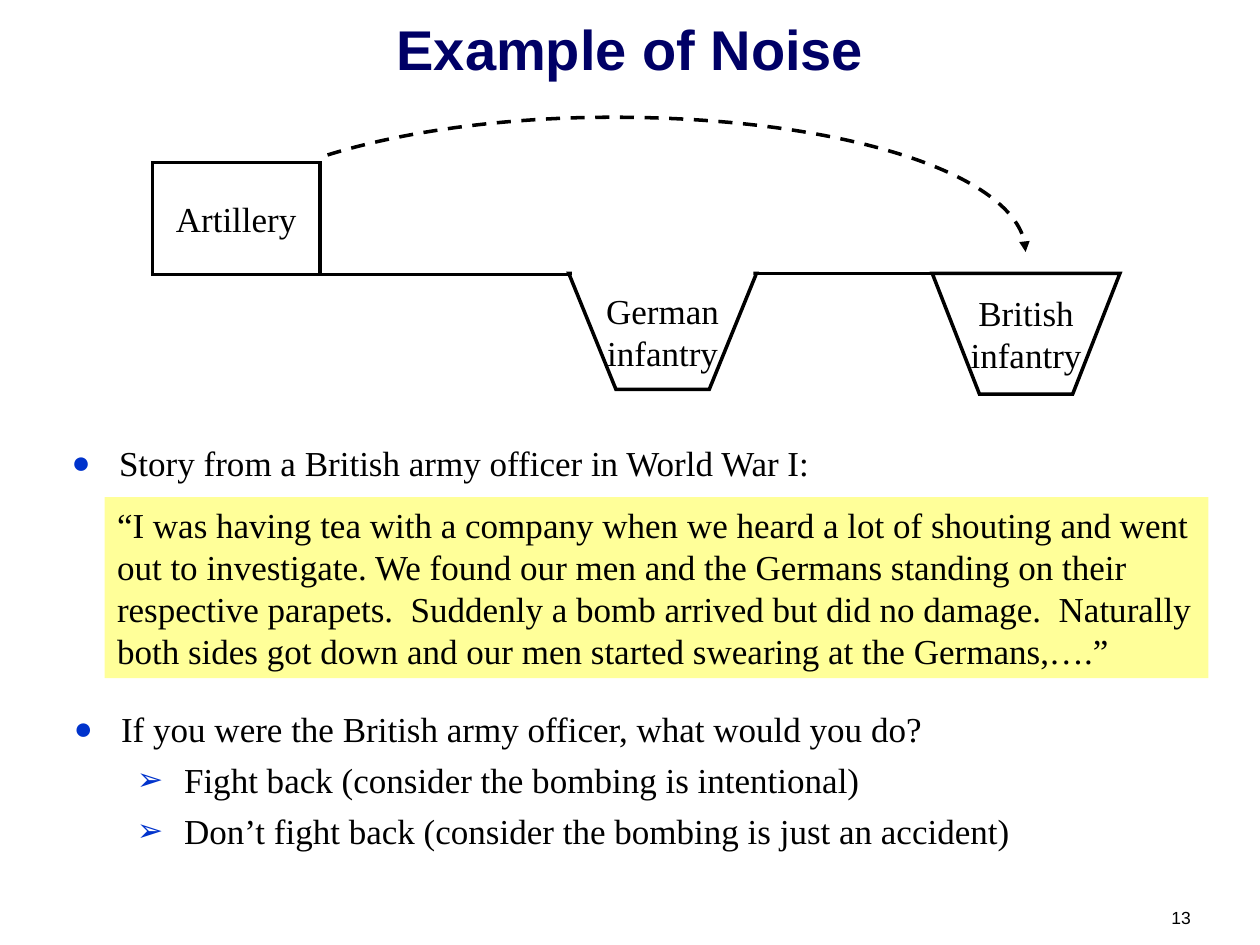
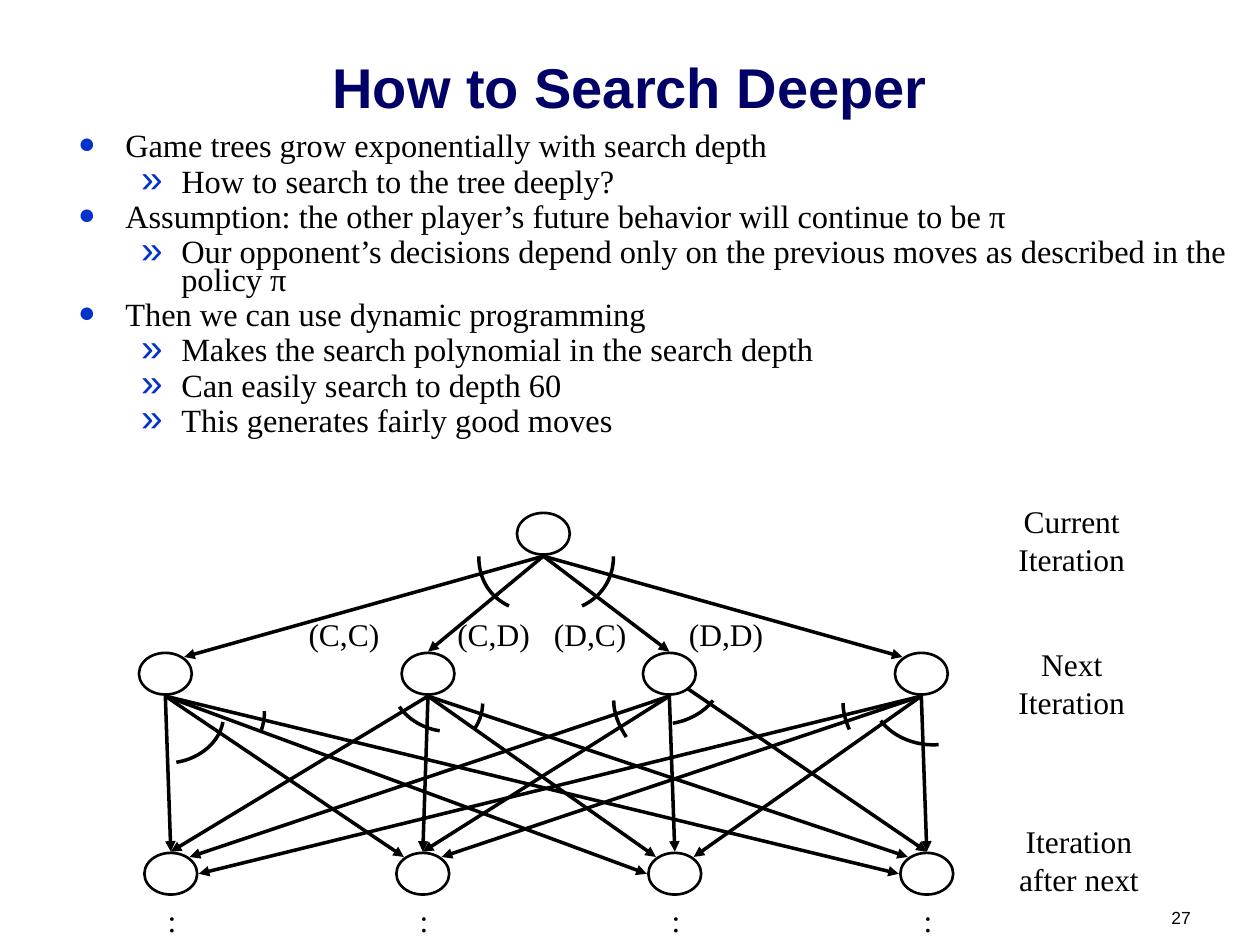
"""Build two lecture slides about noise and deeper search in repeated games."""
import math
from typing import NamedTuple

import lxml.etree
import pptx
import pptx.dml.color
import pptx.enum.dml
import pptx.enum.shapes
import pptx.enum.text
import pptx.oxml.ns
import pptx.util

Pt = pptx.util.Pt
qn = pptx.oxml.ns.qn
add_tag = lxml.etree.SubElement
ALIGN = pptx.enum.text.PP_ALIGN
ANCHOR = pptx.enum.text.MSO_ANCHOR
SHAPE = pptx.enum.shapes.MSO_SHAPE
STRAIGHT = pptx.enum.shapes.MSO_CONNECTOR.STRAIGHT

BLACK, WHITE, NAVY, BLUE, YELLOW = "000000", "FFFFFF", "000066", "0033CC", "FFFF99"
SERIF, SANS = "Times New Roman", "Arial"
PARAGRAPH_GAP = 0.25
Point = tuple[float, float]


class Area(NamedTuple):
    left: float
    top: float
    width: float
    height: float


class TextStyle(NamedTuple):
    size: float = 20
    font: str = SERIF
    color: str = BLACK
    bold: bool = False
    align: ALIGN = ALIGN.LEFT
    spacing: float = 1.0


class Bullet(NamedTuple):
    symbol: str
    level: int
    margin: float
    hanging: float
    percent: int


class Label(NamedTuple):
    lines: list[str]
    area: Area
    wrap: bool = False


class Arc(NamedTuple):
    frame: Area
    controls: list[Point]
    rotation: float = 0


DOT = Bullet("●", 0, 27, 27, 90)
ARROWHEAD = Bullet("➢", 1, 63, 27, 90)
CHEVRON = Bullet("»", 1, 59, 23, 120)

TITLE_STYLE = TextStyle(32, SANS, NAVY, True, ALIGN.CENTER)
NUMBER_STYLE = TextStyle(10, SANS, align=ALIGN.RIGHT)
FIGURE_STYLE = TextStyle(align=ALIGN.CENTER)
LABEL_STYLE = TextStyle(18, align=ALIGN.CENTER)

TRENCH_WIDTH, TRENCH_SLOPE, GROUND = 107.3, 27, 156.2
SHELL_FLIGHT = Arc(Area(187.2, 67, 398.9, 77), [
    (187.2, 88.6), (231.1, 74.9), (289.4, 67), (349.9, 67),
    (480.2, 67), (586.1, 101.5), (586.1, 144)])
QUOTE = ("“I was having tea with a company when we heard a lot of shouting and went out to "
         "investigate. We found our men and the Germans standing on their respective parapets.  "
         "Suddenly a bomb arrived but did no damage.  Naturally both sides got down and our men "
         "started swearing at the Germans,….”")

NODE_WIDTH, NODE_HEIGHT = 30.2, 23.8
ROOT = (310.5, 305)
NEXT_NODES = [(x, 385) for x in (94.5, 244.6, 382.5, 526.5)]
LATER_NODES = [(97.6 + 144 * column, 499.3) for column in range(4)]
PORTS = {"top": (0, -12.6), "upper left": (-10.8, -9.6), "upper right": (10.8, -9.6),
         "left": (-16, 0), "right": (16, 0), "bottom": (0, 12.8)}
ROOT_PORTS = ["upper right", "top", "top", "upper left"]
LATER_PORTS = [
    ["top", "upper left", "left", "left"],
    ["top", "top", "upper left", "upper left"],
    ["upper right", "top", "top", "top"],
    ["right", "upper right", "upper right", "top"],
]
BRANCH_ARCS = [
    Arc(Area(316.8, 318, 33.8, 28), [(332.6, 346.3), (343.4, 341.3), (350.6, 331.2), (350.6, 318)]),
    Arc(Area(273.6, 318, 33.8, 28), [(290.9, 346.3), (280.1, 341.3), (273.6, 331.2), (273.6, 318)]),
    Arc(Area(249.1, 393.8, 27.4, 26),
        [(271.4, 416.2), (274.3, 411.8), (275.8, 406.8), (275.8, 402)], 322.9),
    Arc(Area(228.2, 389, 29, 28), [(251.3, 417.6), (241.9, 416.2), (233.3, 411.1), (228.2, 403.9)]),
    Arc(Area(125.3, 398.2, 26, 26),
        [(149, 418.3), (150.5, 414.7), (151.2, 410.4), (151.2, 406.4)], 315.4),
    Arc(Area(94.3, 407, 33, 28), [(100.8, 435.6), (114.5, 433.4), (125.3, 424.1), (127.4, 412.6)]),
    Arc(Area(348.5, 393.8, 28.8, 27.4),
        [(357.8, 421.2), (353.5, 414.7), (350.6, 407.5), (350.6, 400.3)], 37.1),
    Arc(Area(378.7, 385, 29, 28), [(384.5, 413.3), (393.8, 411.8), (402.5, 406.8), (407.5, 400.3)]),
    Arc(Area(481.7, 393.1, 26, 27.4),
        [(485.3, 416.9), (483.1, 411.8), (481.7, 406.8), (481.7, 401.8)], 44.5),
    Arc(Area(503.3, 397, 33, 29), [(536.4, 425.5), (525, 426.5), (511, 422), (503.3, 411.8)]),
]
TREE_LABELS = [
    Label(["Current", "Iteration"], Area(575, 283.4, 74.9, 50.4)),
    Label(["Next", "Iteration"], Area(575, 365, 74.9, 50.4)),
    Label(["Iteration after next"], Area(562.6, 466.2, 108, 50.4), True),
    *(Label([":"], Area(x - 9, 511.2, 19.4, 28.8)) for x, _ in LATER_NODES),
]
MOVES = Label(["(C,C)\t(C,D)\t(D,C)\t(D,D)"], Area(169.2, 347.8, 275, 28.8), True)
MOVE_TABS = [85, 140.2, 217.4]


def rgb(color: str) -> pptx.dml.color.RGBColor:
    return pptx.dml.color.RGBColor.from_string(color)


def lengths(*values: float) -> list[int]:
    return [Pt(value) for value in values]


def set_bullet(para, bullet: Bullet) -> None:
    para.level = bullet.level
    properties = para._p.get_or_add_pPr()
    properties.set("marL", str(Pt(bullet.margin)))
    properties.set("indent", str(-Pt(bullet.hanging)))
    add_tag(add_tag(properties, qn("a:buClr")), qn("a:srgbClr"), val=BLUE)
    add_tag(properties, qn("a:buSzPct"), val=str(bullet.percent * 1000))
    add_tag(properties, qn("a:buFont"), typeface=SANS)
    add_tag(properties, qn("a:buChar"), char=bullet.symbol)


def write(frame, lines: list[str], style: TextStyle, anchor: ANCHOR = ANCHOR.TOP,
          wrap: bool = False, bullets: tuple[Bullet, ...] = ()) -> None:
    frame.word_wrap = wrap
    frame.auto_size = pptx.enum.text.MSO_AUTO_SIZE.NONE
    frame.vertical_anchor = anchor
    frame.margin_left = frame.margin_right = Pt(7.2)
    frame.margin_top = frame.margin_bottom = Pt(3.6)
    for index, text in enumerate(lines):
        para = frame.add_paragraph() if index else frame.paragraphs[0]
        if bullets:
            set_bullet(para, bullets[index])
        para.line_spacing = style.spacing
        para.space_before = Pt(PARAGRAPH_GAP * style.size if bullets and index else 0)
        para.alignment = style.align
        span = para.add_run()
        span.text = text
        span.font.size, span.font.name, span.font.bold = Pt(style.size), style.font, style.bold
        span.font.color.rgb = rgb(style.color)


def write_list(frame, items: list[tuple[Bullet, str]], style: TextStyle) -> None:
    bullets, lines = zip(*items)
    write(frame, lines, style, wrap=True, bullets=bullets)


def add_text(page, label: Label, style: TextStyle):
    box = page.shapes.add_textbox(*lengths(*label.area))
    write(box.text_frame, label.lines, style, wrap=label.wrap)
    return box


def start_page(deck, title: str, title_area: Area, body_area: Area, number: str):
    page = deck.slides.add_slide(deck.slide_layouts[1])
    add_text(page, Label([number], Area(655.9, 514.8, 31.7, 18.7), True), NUMBER_STYLE)
    heading, body = page.shapes.title, page.placeholders[1]
    for holder, area in ((heading, title_area), (body, body_area)):
        holder.left, holder.top, holder.width, holder.height = lengths(*area)
    write(heading.text_frame, [title], TITLE_STYLE, ANCHOR.BOTTOM, True)
    return page, body.text_frame


def format_shape(shape, fill: str | None = None, line: float = 0):
    shape.shadow.inherit = False
    shape.fill.background()
    shape.line.fill.background()
    if fill:
        shape.fill.solid()
        shape.fill.fore_color.rgb = rgb(fill)
    if line:
        shape.line.color.rgb = rgb(BLACK)
        shape.line.width = Pt(line)
        add_tag(shape._element.spPr.find(qn("a:ln")), qn("a:miter"), lim="800000")
    return shape


def add_preset(page, kind: SHAPE, area: Area, fill: str | None = None, line: float = 0):
    return format_shape(page.shapes.add_shape(kind, *lengths(*area)), fill, line)


def add_curve(page, arc: Arc):
    left, top, width, height = arc.frame
    middle_x, middle_y, angle = left + width / 2, top + height / 2, math.radians(arc.rotation)
    cos, sin = math.cos(angle), math.sin(angle)
    offsets = [(x - middle_x, y - middle_y) for x, y in arc.controls]
    turned = [lengths(middle_x + x * cos + y * sin, middle_y - x * sin + y * cos)
              for x, y in offsets]
    builder = page.shapes.build_freeform(*lengths(left, top), scale=1.0)
    builder.move_to(*lengths(left + width, top + height))
    builder.move_to(*turned[0])
    builder.add_line_segments(turned[1:], close=False)
    shape = format_shape(builder.convert_to_shape(), line=2)
    shape.rotation = arc.rotation
    route = next(shape._element.iter(qn("a:path")))
    for corner in route.findall(qn("a:moveTo"))[:2]:
        route.remove(corner)
    for index, segment in enumerate(route.findall(qn("a:lnTo"))):
        if index % 3 == 0:
            bend = add_tag(route, qn("a:cubicBezTo"))
        bend.append(segment[0])
        route.remove(segment)
    return shape


def add_arrowhead(shape) -> None:
    add_tag(shape._element.spPr.find(qn("a:ln")), qn("a:tailEnd"), type="triangle")


def add_line(page, start: Point, end: Point, arrow: bool = False) -> None:
    connector = page.shapes.add_connector(STRAIGHT, *lengths(*start, *end))
    connector.line.color.rgb = rgb(BLACK)
    connector.line.width = Pt(2)
    if arrow:
        add_arrowhead(connector)
    add_tag(connector._element.spPr, qn("a:effectLst"))


def add_trench(page, lines: list[str], left: float, depth: float) -> None:
    right, floor = left + TRENCH_WIDTH, GROUND + depth
    builder = page.shapes.build_freeform(*lengths(left, GROUND), scale=1.0)
    corners = [(left + TRENCH_SLOPE, floor), (right - TRENCH_SLOPE, floor), (right, GROUND)]
    builder.add_line_segments([lengths(*corner) for corner in corners])
    shape = format_shape(builder.convert_to_shape(), line=2)
    write(shape.text_frame, lines, FIGURE_STYLE, ANCHOR.MIDDLE)


def port_of(node: Point, port: str) -> Point:
    return node[0] + PORTS[port][0], node[1] + PORTS[port][1]


def build_noise_page(deck) -> None:
    page, body = start_page(deck, "Example of Noise", Area(12.2, 0, 696, 50.1),
                            Area(33.8, 248.8, 648, 41.8), "13")
    write_list(body, [(DOT, "Story from a British army officer in World War I:")], TextStyle())
    add_trench(page, ["German", "infantry"], 325, 66.4)
    add_trench(page, ["British", "infantry"], 532.7, 69)
    add_line(page, (329.8, GROUND), (624.2, GROUND))
    add_preset(page, SHAPE.RECTANGLE, Area(326.9, 131.8, 103.7, 25.9), WHITE)
    artillery = add_preset(page, SHAPE.RECTANGLE, Area(87.1, 92.9, 95.8, 64), line=2)
    write(artillery.text_frame, ["Artillery"], FIGURE_STYLE, ANCHOR.MIDDLE)
    add_line(page, (180, 157), (326.2, 157))
    flight = add_curve(page, SHELL_FLIGHT)
    flight.line.dash_style = pptx.enum.dml.MSO_LINE.DASH
    add_arrowhead(flight)
    quote = add_preset(page, SHAPE.RECTANGLE, Area(59.8, 284, 630.7, 103.5), YELLOW)
    write(quote.text_frame, [QUOTE], TextStyle(), wrap=True)
    question = page.shapes.add_textbox(*lengths(35.1, 401, 648, 87.8))
    write_list(question.text_frame, [
        (DOT, "If you were the British army officer, what would you do?"),
        (ARROWHEAD, "Fight back (consider the bombing is intentional)"),
        (ARROWHEAD, "Don’t fight back (consider the bombing is just an accident)")], TextStyle())


def build_search_page(deck) -> None:
    page, body = start_page(deck, "How to Search Deeper", Area(12, 7.9, 696, 64.1),
                            Area(37.4, 74.2, 670.3, 193.7), "27")
    write_list(body, [
        (DOT, "Game trees grow exponentially with search depth"),
        (CHEVRON, "How to search to the tree deeply?"),
        (DOT, "Assumption: the other player’s future behavior will continue to be π"),
        (CHEVRON, "Our opponent’s decisions depend only on the previous moves as described "
                  "in the policy π"),
        (DOT, "Then we can use dynamic programming"),
        (CHEVRON, "Makes the search polynomial in the search depth"),
        (CHEVRON, "Can easily search to depth 60"),
        (CHEVRON, "This generates fairly good moves")], TextStyle(18.5, spacing=0.7))
    for node, port in zip(NEXT_NODES, ROOT_PORTS):
        add_line(page, port_of(ROOT, "bottom"), port_of(node, port), True)
    for row, (parent, ports) in enumerate(zip(NEXT_NODES, LATER_PORTS)):
        for column, (child, port) in enumerate(zip(LATER_NODES, ports)):
            start = (378.7, 383.8) if (row, column) == (2, 3) else port_of(parent, "bottom")
            add_line(page, start, port_of(child, port), True)
    for label in TREE_LABELS:
        add_text(page, label, LABEL_STYLE)
    moves = add_text(page, MOVES, TextStyle(18)).text_frame.paragraphs[0]
    tabs = add_tag(moves._p.get_or_add_pPr(), qn("a:tabLst"))
    for position in MOVE_TABS:
        add_tag(tabs, qn("a:tab"), pos=str(Pt(position)), algn="l")
    for arc in BRANCH_ARCS:
        add_curve(page, arc)
    for node in [ROOT, *NEXT_NODES, *LATER_NODES]:
        area = Area(node[0] - NODE_WIDTH / 2, node[1] - NODE_HEIGHT / 2, NODE_WIDTH, NODE_HEIGHT)
        add_preset(page, SHAPE.OVAL, area, WHITE if node == NEXT_NODES[2] else None, 1.5)


deck = pptx.Presentation()
deck.slide_width, deck.slide_height = lengths(720, 540)
build_noise_page(deck)
build_search_page(deck)
deck.save("out.pptx")
